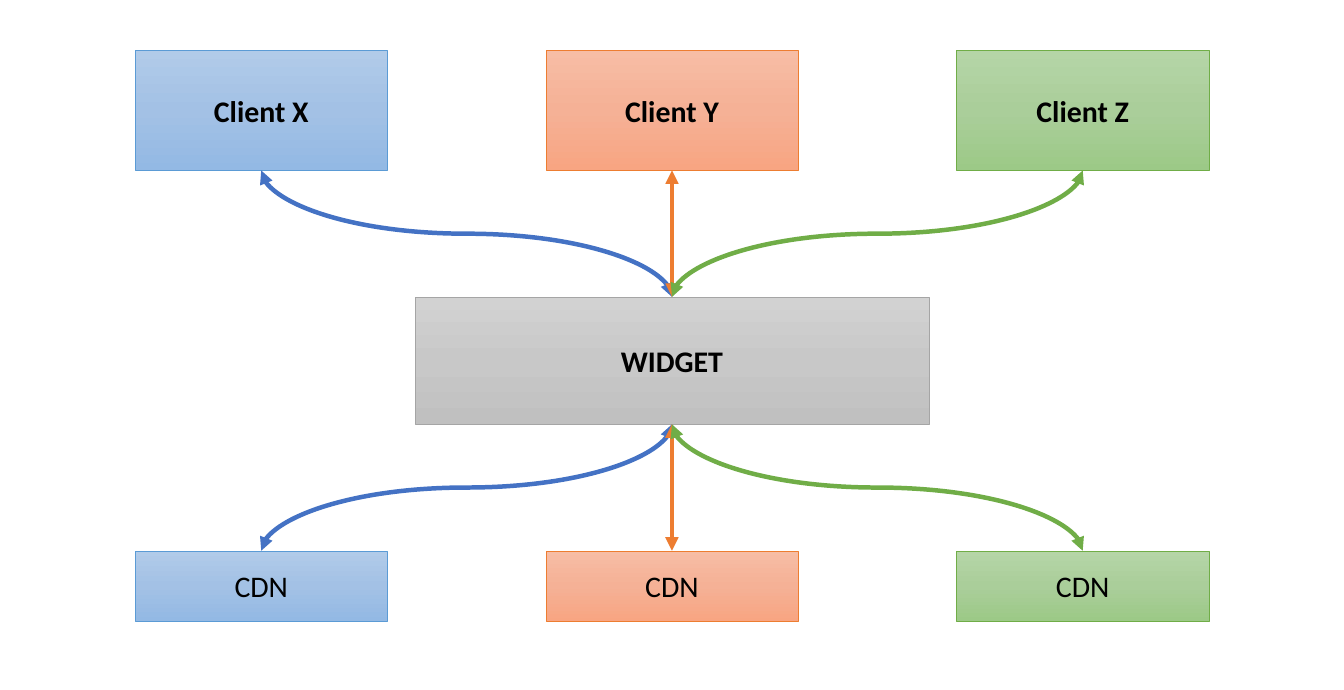
"""Build a diagram of three clients and their CDNs linked through one widget."""
from copy import deepcopy

from lxml.etree import SubElement
from pptx import Presentation
from pptx.dml.color import RGBColor
from pptx.enum.shapes import MSO_CONNECTOR, MSO_SHAPE
from pptx.enum.text import MSO_ANCHOR, PP_ALIGN
from pptx.oxml.ns import qn
from pptx.util import Inches, Pt

BLACK = RGBColor(0x00, 0x00, 0x00)
BLUE = RGBColor(0x5B, 0x9B, 0xD5)
DEEP_BLUE = RGBColor(0x44, 0x72, 0xC4)
ORANGE = RGBColor(0xED, 0x7D, 0x31)
GREEN = RGBColor(0x70, 0xAD, 0x47)
GRAY = RGBColor(0xA5, 0xA5, 0xA5)
BLUE_FADE = [RGBColor(0xB1, 0xCB, 0xE9), RGBColor(0xA3, 0xC1, 0xE5), RGBColor(0x93, 0xB9, 0xE4)]
ORANGE_FADE = [RGBColor(0xF7, 0xBD, 0xA5), RGBColor(0xF5, 0xB1, 0x96), RGBColor(0xF8, 0xA5, 0x82)]
GREEN_FADE = [RGBColor(0xB5, 0xD5, 0xA7), RGBColor(0xAA, 0xCE, 0x9A), RGBColor(0x9C, 0xC9, 0x87)]
GRAY_FADE = [RGBColor(0xD2, 0xD2, 0xD2), RGBColor(0xC8, 0xC8, 0xC8), RGBColor(0xC0, 0xC0, 0xC0)]

COLUMNS = [
    ("Client X", "CDN", BLUE_FADE, BLUE, DEEP_BLUE),
    ("Client Y", "CDN", ORANGE_FADE, ORANGE, ORANGE),
    ("Client Z", "CDN", GREEN_FADE, GREEN, GREEN),
]
WIDGET = "WIDGET"

SLIDE_WIDTH, SLIDE_HEIGHT = 25, 12.83
COLUMN_PITCH = 7.64
BOX_WIDTH, WIDGET_WIDTH = 4.69, 9.56
CLIENT_HEIGHT, WIDGET_HEIGHT, CDN_HEIGHT = 2.24, 2.37, 1.31
ROW_GAP = 2.35
CLIENT_TOP = 0.93
WIDGET_TOP = CLIENT_TOP + CLIENT_HEIGHT + ROW_GAP
CDN_TOP = WIDGET_TOP + WIDGET_HEIGHT + ROW_GAP
TOP_SIDE, BOTTOM_SIDE = 0, 2


def fill_with_fade(shape, fade):
    shape.fill.gradient()
    shape.fill.gradient_angle = 270
    stop_list = next(shape._element.spPr.iter(qn("a:gsLst")))
    stop_list.insert(1, deepcopy(stop_list[0]))
    for index, (stop, color) in enumerate(zip(shape.fill.gradient_stops, fade)):
        stop.position = index / 2
        stop.color.rgb = color


def add_box(slide, text, center, top, width, height, fade, border, bold=True):
    box = slide.shapes.add_shape(
        MSO_SHAPE.RECTANGLE,
        Inches(center - width / 2), Inches(top), Inches(width), Inches(height),
    )
    box.shadow.inherit = False
    fill_with_fade(box, fade)
    box.line.color.rgb = border
    box.line.width = Pt(0.5)
    box.text_frame.vertical_anchor = MSO_ANCHOR.MIDDLE
    paragraph = box.text_frame.paragraphs[0]
    paragraph.text = text
    paragraph.alignment = PP_ALIGN.CENTER
    paragraph.font.name = "Calibri"
    paragraph.font.size = Pt(40)
    paragraph.font.bold = bold
    paragraph.font.color.rgb = BLACK
    return box


def turn_quarter(connector):
    """Rotate the frame by 90 degrees so the curve leaves its ends vertically."""
    begin_x, begin_y = connector.begin_x, connector.begin_y
    end_x, end_y = connector.end_x, connector.end_y
    center_x, center_y = (begin_x + end_x) // 2, (begin_y + end_y) // 2
    connector.begin_x = center_x + begin_y - center_y
    connector.begin_y = center_y - begin_x + center_x
    connector.end_x = center_x + end_y - center_y
    connector.end_y = center_y - end_x + center_x
    connector._element.spPr.find(qn("a:xfrm")).set("rot", "5400000")


def link(slide, box, box_side, widget, widget_side, color):
    connector = slide.shapes.add_connector(MSO_CONNECTOR.CURVE, 0, 0, 0, 0)
    connector.begin_connect(box, box_side)
    connector.end_connect(widget, widget_side)
    turn_quarter(connector)
    connector.line.color.rgb = color
    connector.line.width = Pt(6)
    line = connector.line._get_or_add_ln()
    for arrowhead in ("a:headEnd", "a:tailEnd"):
        SubElement(line, qn(arrowhead), type="triangle")
    SubElement(connector._element.spPr, qn("a:effectLst"))


def main():
    presentation = Presentation()
    presentation.slide_width = Inches(SLIDE_WIDTH)
    presentation.slide_height = Inches(SLIDE_HEIGHT)
    slide = presentation.slides.add_slide(presentation.slide_layouts[6])

    middle = SLIDE_WIDTH / 2
    widget = add_box(slide, WIDGET, middle, WIDGET_TOP, WIDGET_WIDTH, WIDGET_HEIGHT, GRAY_FADE, GRAY)
    for index, (client_name, cdn_name, fade, border, link_color) in enumerate(COLUMNS):
        center = middle + (index - 1) * COLUMN_PITCH
        client = add_box(slide, client_name, center, CLIENT_TOP, BOX_WIDTH, CLIENT_HEIGHT, fade, border)
        cdn = add_box(slide, cdn_name, center, CDN_TOP, BOX_WIDTH, CDN_HEIGHT, fade, border, bold=False)
        link(slide, client, BOTTOM_SIDE, widget, TOP_SIDE, link_color)
        link(slide, cdn, TOP_SIDE, widget, BOTTOM_SIDE, link_color)

    presentation.save("out.pptx")


if __name__ == "__main__":
    main()
